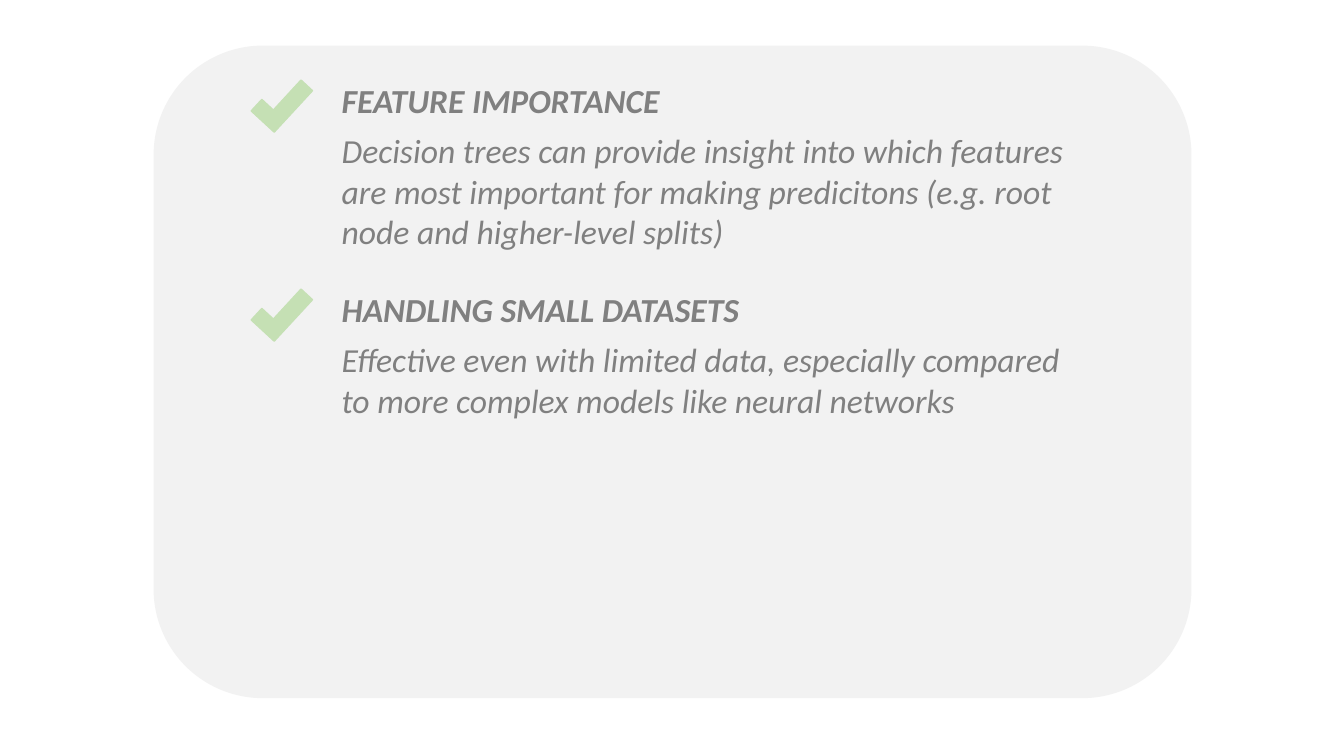
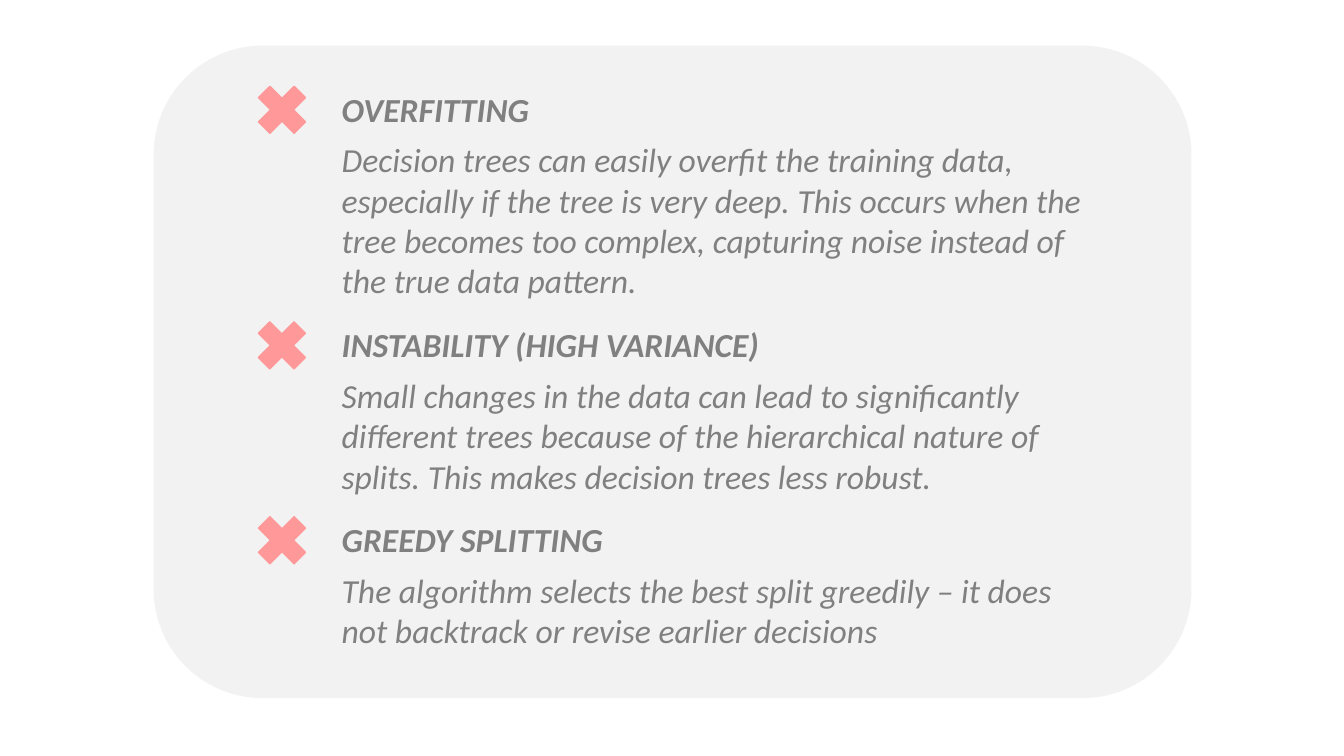
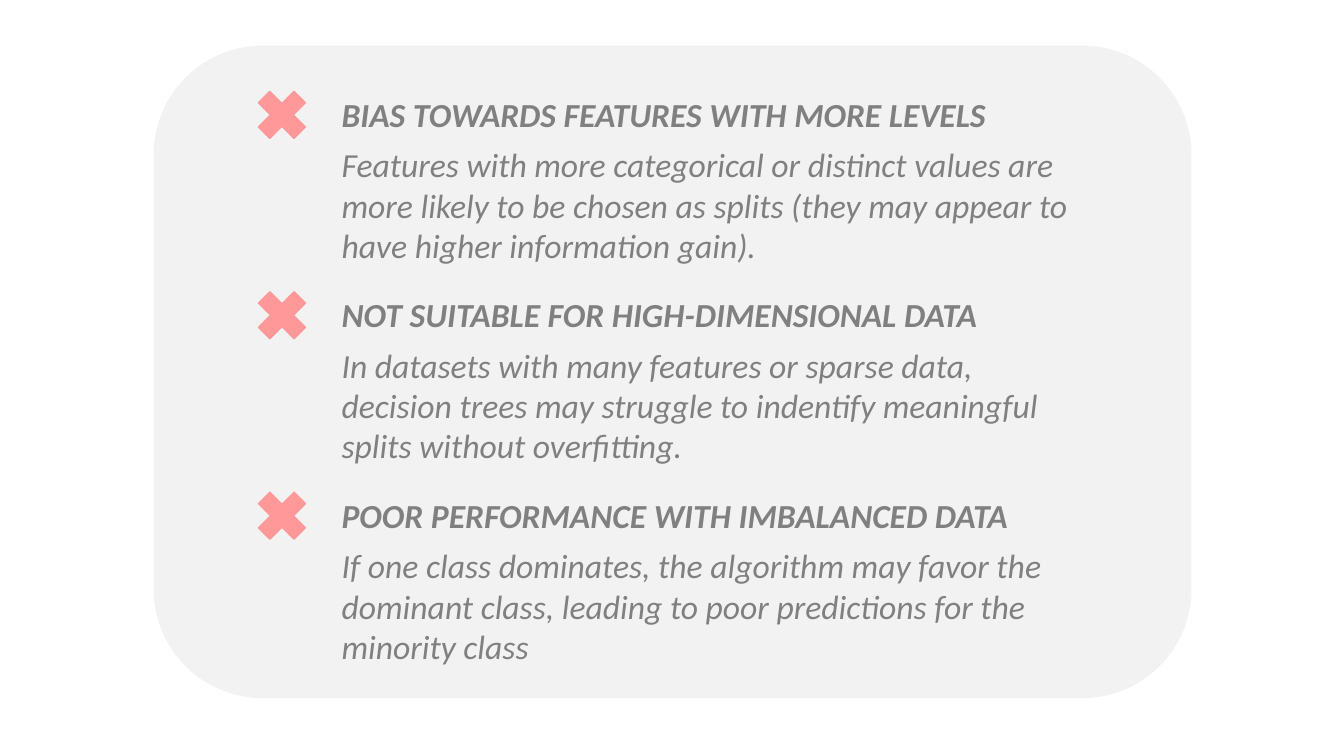
from collections import namedtuple

from pptx import Presentation
from pptx.dml.color import RGBColor
from pptx.enum.shapes import MSO_SHAPE as SHAPE
from pptx.enum.text import MSO_AUTO_SIZE as AUTO
from pptx.util import Inches, Pt

WIDTH, HEIGHT = Inches(13.33), Inches(7.5)
FONT, SIZE = "Calibri", 24
PANEL, TEXT, GREEN, RED = "F2F2F2", "808080", "C5E0B4", "FF9999"

Box = namedtuple("Box", "left top width height")
PANEL_BOX = Box(11.48, 6.13, 77.12, 86.13)
TEXT_LEFT, TEXT_WIDTH = 13.2, 56.64
MARK_X, MARK_Y = 9.5, 3.47
LINE, PADDING = 5.38, 1.33

SLIDES = [
    ("check", 3.73, 3.47, [
        ("FEATURE IMPORTANCE", 3,
         "Decision trees can provide insight into which features are most "
         "important for making predicitons (e.g. root node and higher-level splits)"),
        ("HANDLING SMALL DATASETS", 2,
         "Effective even with limited data, especially compared to more "
         "complex models like neural networks"),
    ]),
    ("cross", 4.93, 1.6, [
        ("OVERFITTING", 4,
         "Decision trees can easily overfit the training data, especially if the "
         "tree is very deep. This occurs when the tree becomes too complex, "
         "capturing noise instead of the true data pattern."),
        ("INSTABILITY (HIGH VARIANCE)", 3,
         "Small changes in the data can lead to significantly different trees "
         "because of the hierarchical nature of splits. This makes decision "
         "trees less robust."),
        ("GREEDY SPLITTING", 2,
         "The algorithm selects the best split greedily – it does not backtrack "
         "or revise earlier decisions"),
    ]),
    ("cross", 5.6, 2.33, [
        ("BIAS TOWARDS FEATURES WITH MORE LEVELS", 3,
         "Features with more categorical or distinct values are more likely to "
         "be chosen as splits (they may appear to have higher information gain)."),
        ("NOT SUITABLE FOR HIGH-DIMENSIONAL DATA", 3,
         "In datasets with many features or sparse data, decision trees may "
         "struggle to indentify meaningful splits without overfitting."),
        ("POOR PERFORMANCE WITH IMBALANCED DATA", 3,
         "If one class dominates, the algorithm may favor the dominant class, "
         "leading to poor predictions for the minority class"),
    ]),
]


def rgb(color):
    """Turn a hex string into a colour."""
    return RGBColor.from_string(color)


def place(box):
    """Turn a box in percent of the slide into lengths."""
    return (int(WIDTH * box.left / 100), int(HEIGHT * box.top / 100),
            int(WIDTH * box.width / 100), int(HEIGHT * box.height / 100))


def add_shape(slide, kind, box, color):
    """Add a flat shape whose line matches its fill."""
    s = slide.shapes.add_shape(kind, *place(box))
    s.shadow.inherit = False
    s.fill.solid()
    s.fill.fore_color.rgb = rgb(color)
    s.line.color.rgb = rgb(color)
    s.line.width = Pt(1)
    return s


def add_text(slide, box, text, bold=False):
    """Add a wrapped italic text box."""
    tf = slide.shapes.add_textbox(*place(box)).text_frame
    tf.word_wrap = True
    tf.auto_size = AUTO.SHAPE_TO_FIT_TEXT
    p = tf.paragraphs[0]
    p.text = text
    font = p.font
    font.name, font.size = FONT, Pt(SIZE)
    font.bold, font.italic = bold, True
    font.color.rgb = rgb(TEXT)


def add_check(slide, x, y):
    """Add a check mark, a mirrored and turned corner, centred on a point."""
    width, height = 2.33, 7.47
    box = Box(x - width / 2, y - height / 2, width, height)
    s = add_shape(slide, SHAPE.RECTANGLE, box, GREEN)
    s.rotation = 42.7
    props = s._element.spPr
    props.prstGeom.set("prst", "corner")
    props.xfrm.set("flipH", "1")


def add_cross(slide, x, y):
    """Add a cross centred on a point."""
    width, height = 5.1, 9.07
    box = Box(x - width / 2, y - height / 2, width, height)
    add_shape(slide, SHAPE.MATH_MULTIPLY, box, RED)


MARKS = {"check": add_check, "cross": add_cross}


def add_point(slide, panel, top, mark, heading, lines, body):
    """Add a marked heading with its body and return the bottom edge."""
    left = panel.left + TEXT_LEFT
    body_top = top + LINE + PADDING
    body_height = lines * LINE + PADDING
    add_text(slide, Box(left, top, TEXT_WIDTH, LINE + PADDING), heading, bold=True)
    add_text(slide, Box(left, body_top, TEXT_WIDTH, body_height), body)
    MARKS[mark](slide, panel.left + MARK_X, top + MARK_Y)
    return body_top + body_height


def add_points_slide(prs, panel, mark, inset, gap, points):
    """Add a slide with a rounded panel and stacked points."""
    slide = prs.slides.add_slide(prs.slide_layouts[6])
    add_shape(slide, SHAPE.ROUNDED_RECTANGLE, panel, PANEL)
    top = panel.top + inset
    for point in points:
        top = add_point(slide, panel, top, mark, *point) + gap


def main():
    """Build and save the presentation."""
    prs = Presentation()
    prs.slide_width, prs.slide_height = WIDTH, HEIGHT
    for content in SLIDES:
        add_points_slide(prs, PANEL_BOX, *content)
    prs.save("out.pptx")


if __name__ == "__main__":
    main()
